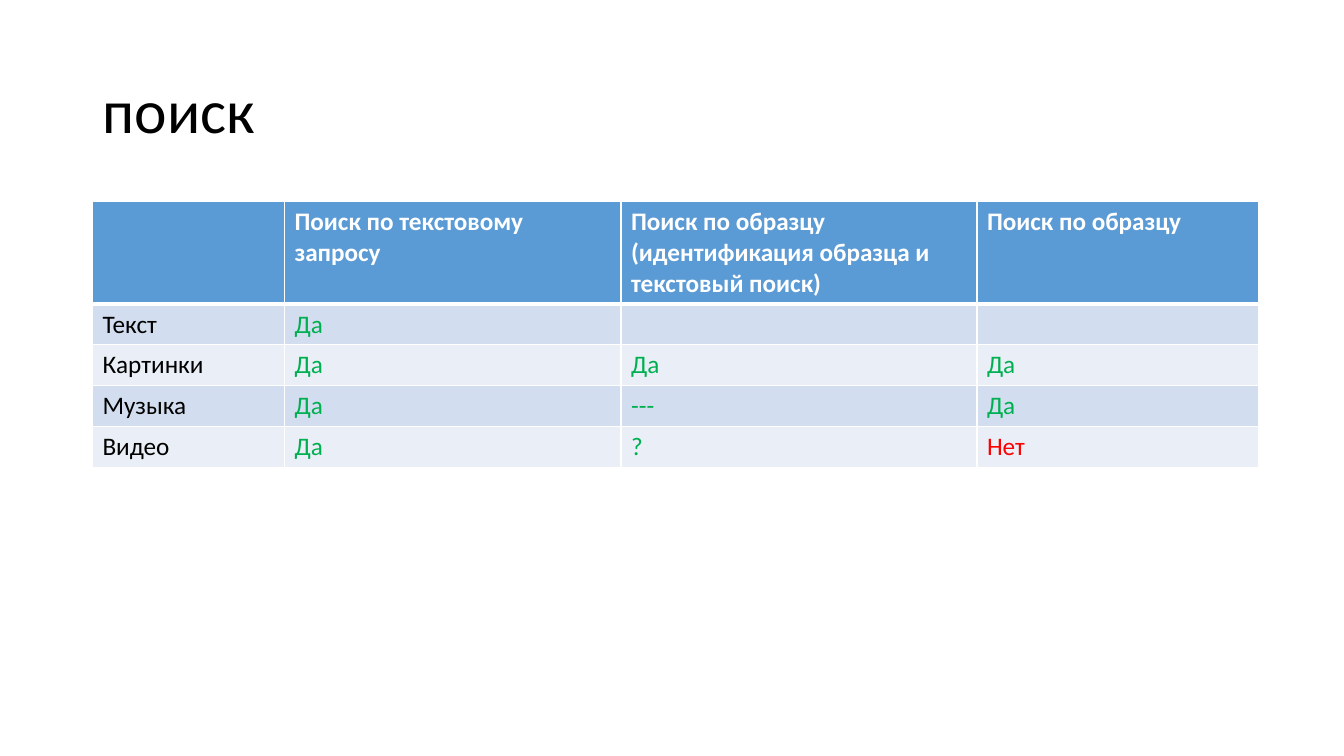
from lxml.etree import SubElement
from pptx import Presentation
from pptx.dml.color import RGBColor
from pptx.enum.text import MSO_ANCHOR, PP_ALIGN
from pptx.oxml.ns import qn
from pptx.util import Cm, Pt

FONT = "Calibri"
BLACK = RGBColor(0x00, 0x00, 0x00)
WHITE = RGBColor(0xFF, 0xFF, 0xFF)
BLUE = RGBColor(0x5B, 0x9B, 0xD5)
BANDS = RGBColor(0xD2, 0xDE, 0xEF), RGBColor(0xEA, 0xEF, 0xF7)
GREEN = RGBColor(0x00, 0xB0, 0x50)
RED = RGBColor(0xFF, 0x00, 0x00)

COL_WIDTHS = 4.84, 8.48, 8.97, 7.1
HEADER_HEIGHT, ROW_HEIGHT = 2.54, 1.03
ROWS = [
    ["", "Поиск по текстовому запросу",
     "Поиск по образцу\n(идентификация образца и текстовый поиск)", "Поиск по образцу"],
    ["Текст", "Да", "", ""],
    ["Картинки", "Да", "Да", "Да"],
    ["Музыка", "Да", "---", "Да"],
    ["Видео", "Да", "?", "Нет"],
]


def add_run(p, text, size, color, bold=False):
    """Append one formatted run to a paragraph."""
    r = p.add_run()
    r.text = text
    r.font.name = FONT
    r.font.size = Pt(size)
    r.font.bold = bold
    r.font.color.rgb = color


def set_borders(cell, top, bottom):
    """Draw white cell borders, with top and bottom widths in points."""
    tc_pr = cell._tc.get_or_add_tcPr()
    for side, width in zip(("L", "R", "T", "B"), (1, 1, top, bottom)):
        ln = SubElement(tc_pr, qn(f"a:ln{side}"), w=str(Pt(width)))
        fill = SubElement(ln, qn("a:solidFill"))
        SubElement(fill, qn("a:srgbClr"), val=str(WHITE))


def text_color(row, col, text):
    """Choose the text colour by the cell's role and answer."""
    if row == 0:
        return WHITE
    if col == 0:
        return BLACK
    return RED if text == "Нет" else GREEN


def add_title(s, text, left, top, width, height):
    """Place and format the slide title."""
    sp = s.shapes.title
    sp.left, sp.top, sp.width, sp.height = left, top, width, height
    tf = sp.text_frame
    tf.word_wrap = True
    tf.vertical_anchor = MSO_ANCHOR.MIDDLE
    p = tf.paragraphs[0]
    p.alignment = PP_ALIGN.LEFT
    p.line_spacing = 0.9
    add_run(p, text, 44, BLACK)


def add_search_table(s, left, top):
    """Build the table of search kinds by media type."""
    width = Cm(sum(COL_WIDTHS))
    height = Cm(HEADER_HEIGHT + ROW_HEIGHT * (len(ROWS) - 1))
    table = s.shapes.add_table(len(ROWS), len(COL_WIDTHS), left, top, width, height).table
    for column, col_width in zip(table.columns, COL_WIDTHS):
        column.width = Cm(col_width)
    for i, texts in enumerate(ROWS):
        table.rows[i].height = Cm(ROW_HEIGHT if i else HEADER_HEIGHT)
        for j, text in enumerate(texts):
            cell = table.cell(i, j)
            set_borders(cell, 3 if i == 1 else 1, 3 if i == 0 else 1)
            cell.fill.solid()
            cell.fill.fore_color.rgb = BANDS[(i - 1) % 2] if i else BLUE
            tf = cell.text_frame
            for k, line in enumerate(text.split("\n") if text else []):
                p = tf.add_paragraph() if k else tf.paragraphs[0]
                add_run(p, line, 18, text_color(i, j, text), i == 0)


def main():
    """Build and save the slide."""
    prs = Presentation()
    prs.slide_width, prs.slide_height = Cm(33.87), Cm(19.05)
    s = prs.slides.add_slide(prs.slide_layouts[5])
    add_title(s, "поиск", Cm(2.33), Cm(1.01), Cm(29.21), Cm(3.68))
    add_search_table(s, Cm(2.33), Cm(5.08))
    prs.save("out.pptx")


if __name__ == "__main__":
    main()
